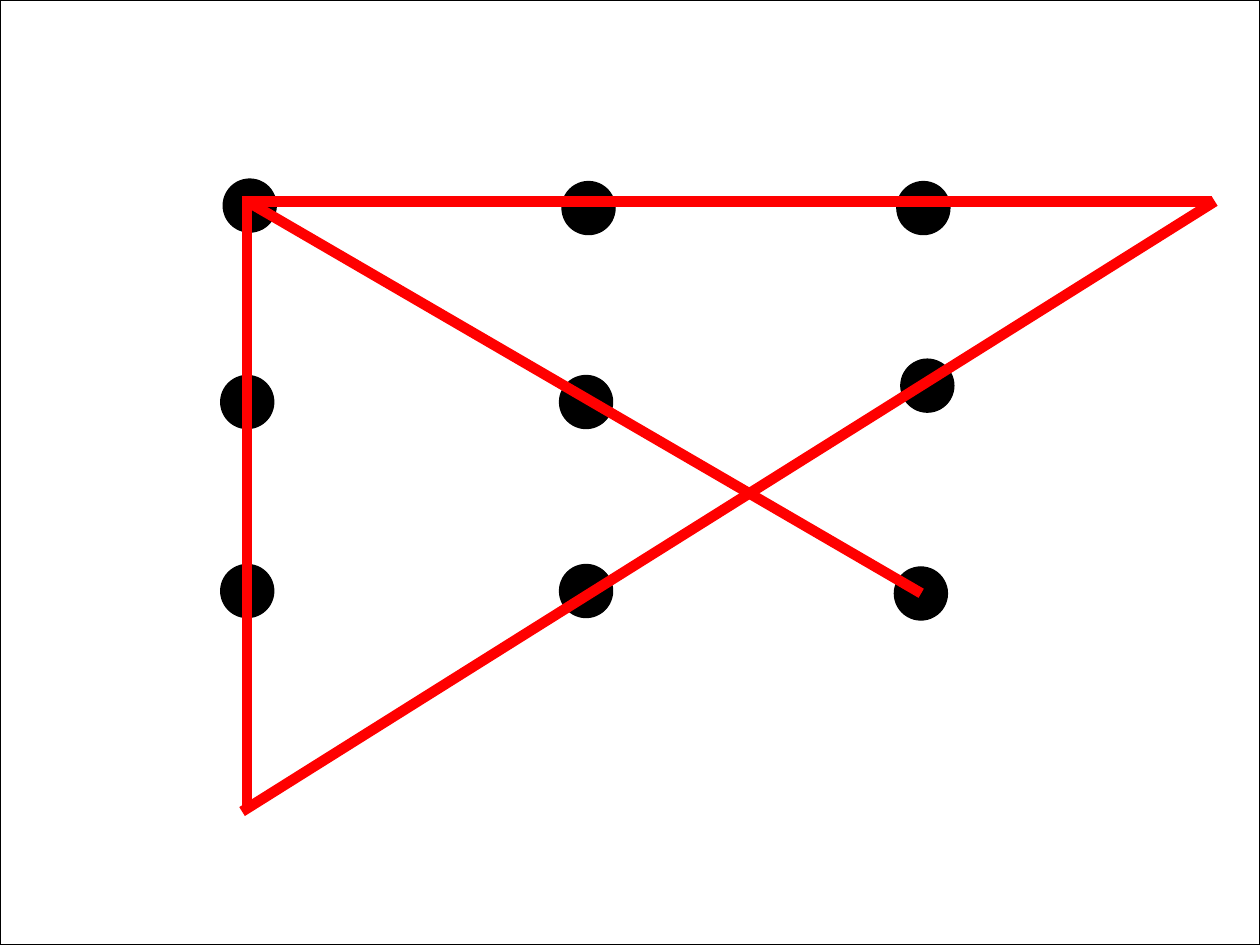
from dataclasses import dataclass

from pptx import Presentation
from pptx.dml.color import RGBColor
from pptx.enum.shapes import MSO_CONNECTOR, MSO_SHAPE
from pptx.oxml.ns import qn
from pptx.util import Cm, Pt
from lxml.etree import SubElement


@dataclass(frozen=True)
class Theme:
    paper: RGBColor = RGBColor(0xFF, 0xFF, 0xFF)
    ink: RGBColor = RGBColor(0x00, 0x00, 0x00)
    path_color: RGBColor = RGBColor(0xFF, 0x00, 0x00)
    outline: Pt = Pt(0.75)
    stroke: Pt = Pt(6)


theme = Theme()
prs = Presentation()
prs.slide_width, prs.slide_height = Cm(25.4), Cm(19.05)
s = prs.slides.add_slide(prs.slide_layouts[6])


def add_filled(kind, x, y, w, h, color):
    sp = s.shapes.add_shape(kind, Cm(x), Cm(y), Cm(w), Cm(h))
    sp.shadow.inherit = False
    sp.fill.solid()
    sp.fill.fore_color.rgb = color
    sp.line.color.rgb = theme.ink
    sp.line.width = theme.outline


add_filled(MSO_SHAPE.RECTANGLE, 0, 0, 25.4, 19.05, theme.paper)

dot_size = 1.07
dots = [
    (4.50, 3.61), (11.33, 3.66), (18.08, 3.66),
    (4.45, 7.57), (11.28, 7.57), (18.16, 7.24),
    (4.45, 11.38), (11.28, 11.38), (18.03, 11.43),
]
for x, y in dots:
    add_filled(MSO_SHAPE.OVAL, x, y, dot_size, dot_size, theme.ink)

strokes = [
    (18.57, 11.96, 4.98, 4.06),
    (4.98, 4.06, 4.98, 16.28),
    (4.88, 16.36, 24.49, 4.06),
    (24.43, 4.06, 4.88, 4.06),
]
for stroke in strokes:
    line = s.shapes.add_connector(MSO_CONNECTOR.STRAIGHT, *map(Cm, stroke))
    line.line.color.rgb = theme.path_color
    line.line.width = theme.stroke
    SubElement(line._element.spPr, qn("a:effectLst"))

prs.save("out.pptx")
